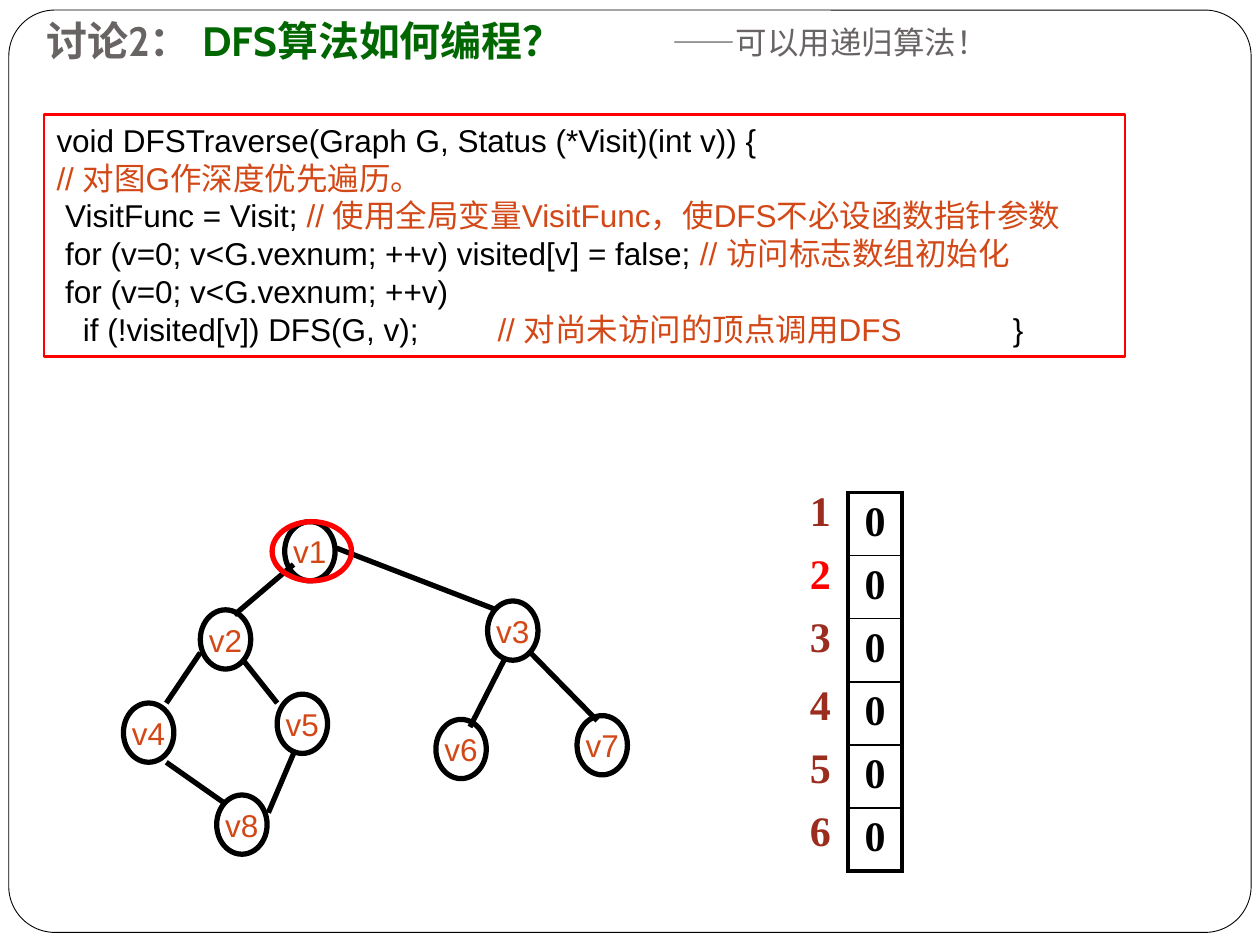
from lxml import etree
from pptx import Presentation
from pptx.dml.color import RGBColor
from pptx.enum.shapes import MSO_CONNECTOR, MSO_SHAPE
from pptx.enum.text import MSO_ANCHOR, PP_ALIGN
from pptx.oxml.ns import qn
from pptx.util import Inches, Pt

OVAL, RECT, ROUND = MSO_SHAPE.OVAL, MSO_SHAPE.RECTANGLE, MSO_SHAPE.ROUNDED_RECTANGLE
STRAIGHT = MSO_CONNECTOR.STRAIGHT
LEFT, CENTER = PP_ALIGN.LEFT, PP_ALIGN.CENTER
TOP, MIDDLE, BOTTOM = MSO_ANCHOR.TOP, MSO_ANCHOR.MIDDLE, MSO_ANCHOR.BOTTOM

BLACK, WHITE, RED = "000000", "FFFFFF", "FF0000"
GRAY, GREEN, ORANGE, BROWN = "696464", "006600", "D34817", "9B2D1F"
SANS, SERIF, HEADING, CHINESE = "Arial", "Times New Roman", "Cabin", "Noto Sans CJK SC"

TITLE = [
    ("讨论2：", HEADING, 23.4, GRAY, True),
    (" ", CHINESE, 28.8, ORANGE, True),
    ("DFS算法如何编程？", HEADING, 23.4, GREEN, True),
]
ANSWER = [
    ("——", SANS, 18, GRAY, False),
    ("可以用递归算法！", CHINESE, 18, GRAY, False),
]
CODE = [
    [("void DFSTraverse(Graph G, Status (*Visit)(int v)) {", BLACK)],
    [("// 对图G作深度优先遍历。", ORANGE)],
    [(" VisitFunc = Visit; ", BLACK),
     ("// 使用全局变量VisitFunc，使DFS不必设函数指针参数", ORANGE)],
    [(" for (v=0; v<G.vexnum; ++v) visited[v] = false; ", BLACK),
     ("// 访问标志数组初始化", ORANGE)],
    [(" for (v=0; v<G.vexnum; ++v)", BLACK)],
    [("\tif (!visited[v]) DFS(G, v);\t", BLACK),
     ("// 对尚未访问的顶点调用DFS", ORANGE), ("\t}", BLACK)],
]
CODE_TABS = [0.21, 3.5, 7.59]

VERTICES = {
    "v1": (2.26, 4.14), "v2": (1.59, 4.84), "v3": (3.87, 4.77), "v4": (0.98, 5.58),
    "v5": (2.2, 5.51), "v6": (3.46, 5.71), "v7": (4.58, 5.68), "v8": (1.72, 6.31),
}
VERTEX_SIZE = (0.4, 0.47)
EDGES = [
    (2.67, 4.35, 3.94, 4.84), (2.33, 4.48, 1.86, 4.88), (1.93, 5.24, 2.2, 5.58),
    (4.2, 5.17, 4.74, 5.72), (4, 5.24, 3.73, 5.77), (1.59, 5.18, 1.32, 5.58),
    (1.32, 6.05, 1.79, 6.38), (2.33, 5.98, 2.13, 6.45),
]
VISITED = [("0", BLACK)] * 6
INDEXES = [(str(i), RED if i == 2 else BROWN) for i in range(1, 7)]
VISITED_ROWS = [0.5] * 6
INDEX_ROWS = [0.5, 0.5, 0.54, 0.5, 0.5, 0.5]


def rgb(value):
    return RGBColor.from_string(value)


def write(paragraph, runs, align=LEFT):
    paragraph.alignment = align
    for text, face, size, color, bold in runs:
        run = paragraph.add_run()
        run.text = text
        for name, value in {"name": face, "size": Pt(size), "bold": bold}.items():
            setattr(run.font, name, value)
        run.font.color.rgb = rgb(color)
        east_asian = etree.SubElement(run.font._element, qn("a:ea"))
        east_asian.set("typeface", CHINESE)


def set_frame(frame, anchor, wrap):
    for name, value in {"vertical_anchor": anchor, "word_wrap": wrap}.items():
        setattr(frame, name, value)


def add_outline(slide, kind, box, color, weight, fill=None):
    shape = slide.shapes.add_shape(kind, *map(Inches, box))
    shape.shadow.inherit = False
    shape.line.color.rgb = rgb(color)
    shape.line.width = Pt(weight)
    if fill:
        shape.fill.solid()
        shape.fill.fore_color.rgb = rgb(fill)
    else:
        shape.fill.background()
    return shape


def add_text(slide, box, runs, anchor, wrap):
    frame = slide.shapes.add_textbox(*map(Inches, box)).text_frame
    set_frame(frame, anchor, wrap)
    write(frame.paragraphs[0], runs)
    return frame


def add_code(slide):
    frame = add_outline(slide, RECT, (0.35, 0.91, 8.58, 1.92), RED, 1.5).text_frame
    set_frame(frame, TOP, True)
    for i, line in enumerate(CODE):
        paragraph = frame.add_paragraph() if i else frame.paragraphs[0]
        write(paragraph, [(text, SANS, 18, color, False) for text, color in line])
    stops = etree.SubElement(paragraph._p.get_or_add_pPr(), qn("a:tabLst"))
    for stop in CODE_TABS:
        etree.SubElement(stops, qn("a:tab"), pos=str(Inches(stop)), algn="l")


def add_edge(slide, ends):
    edge = slide.shapes.add_connector(STRAIGHT, *map(Inches, ends))
    edge.line.color.rgb = rgb(BLACK)
    edge.line.width = Pt(3)
    etree.SubElement(edge._element.spPr, qn("a:effectLst"))


def set_border(cell, side, weight):
    line = etree.SubElement(cell._tc.get_or_add_tcPr(), qn("a:ln" + side), w=str(Pt(weight)))
    if weight:
        fill = etree.SubElement(line, qn("a:solidFill"))
        etree.SubElement(fill, qn("a:srgbClr"), val=BLACK)
    else:
        etree.SubElement(line, qn("a:noFill"))


def add_column(slide, left, top, width, entries, heights, outer, inner):
    box = (left, top, width, sum(heights))
    table = slide.shapes.add_table(len(entries), 1, *map(Inches, box)).table
    table.first_row = table.horz_banding = False
    last = len(entries) - 1
    for i, ((text, color), height) in enumerate(zip(entries, heights)):
        table.rows[i].height = Inches(height)
        cell = table.cell(i, 0)
        borders = {"L": outer, "R": outer,
                   "T": inner if i else outer, "B": inner if i < last else outer}
        for side, weight in borders.items():
            set_border(cell, side, weight)
        cell.fill.background()
        write(cell.text_frame.paragraphs[0], [(text, SERIF, 24, color, True)], CENTER)


def main():
    deck = Presentation()
    deck.slide_width, deck.slide_height = Inches(10), Inches(7.5)
    slide = deck.slides.add_slide(deck.slide_layouts[6])

    border = add_outline(slide, ROUND, (0.07, 0.08, 9.86, 7.32), BLACK, 0.5, WHITE)
    border.adjustments[0] = 0.05
    heading = add_text(slide, (0.27, 0, 5.83, 0.63), TITLE, BOTTOM, True)
    heading.margin_bottom = Inches(0.1)
    add_text(slide, (5.24, 0.13, 3.55, 0.5), ANSWER, TOP, False)
    add_code(slide)

    for name, corner in VERTICES.items():
        frame = add_outline(slide, OVAL, corner + VERTEX_SIZE, BLACK, 3).text_frame
        set_frame(frame, MIDDLE, False)
        write(frame.paragraphs[0], [(name, SANS, 18, ORANGE, False)], CENTER)
    for ends in EDGES:
        add_edge(slide, ends)

    add_column(slide, 6.73, 3.91, 0.43, VISITED, VISITED_ROWS, 2.25, 1)
    add_column(slide, 6.26, 3.83, 0.5, INDEXES, INDEX_ROWS, 0, 0)
    add_outline(slide, OVAL, (2.16, 4.14, 0.63, 0.47), RED, 3)
    deck.save("out.pptx")


if __name__ == "__main__":
    main()
